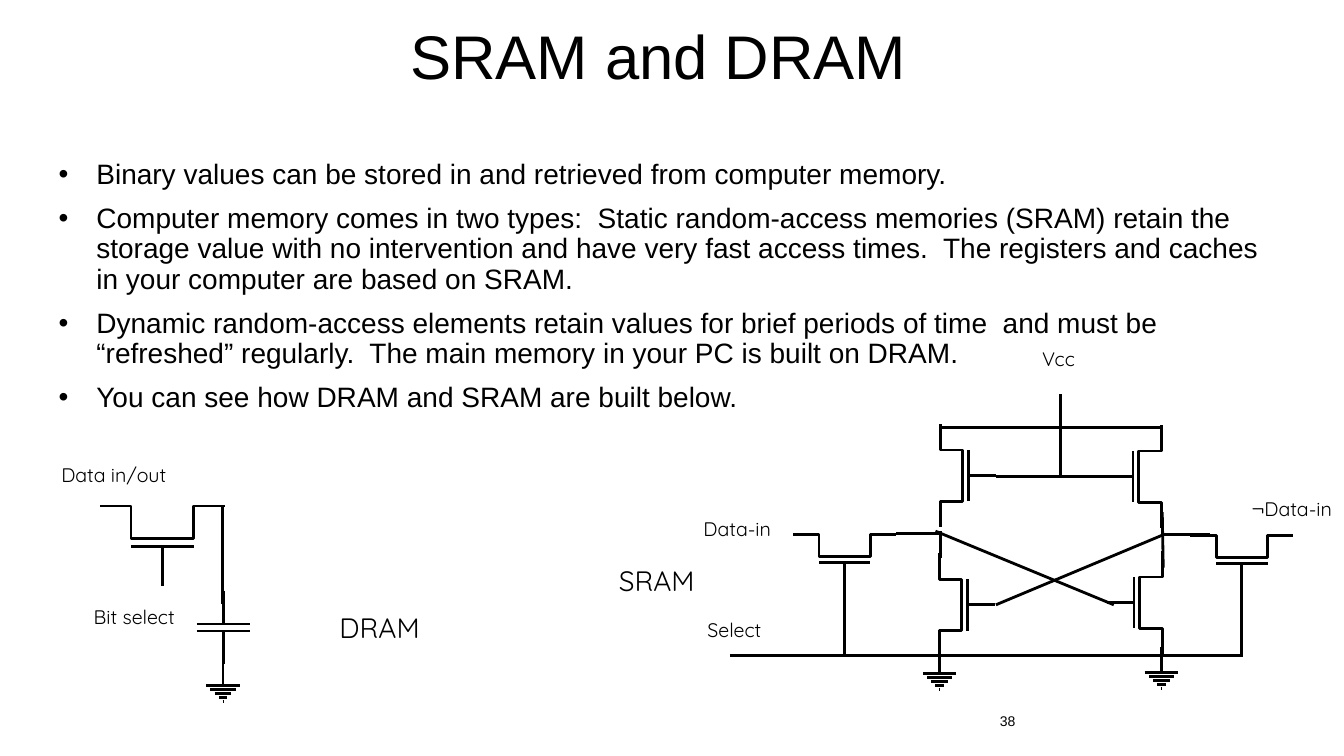
from lxml import etree
from pptx import Presentation
from pptx.dml.color import RGBColor
from pptx.enum.shapes import MSO_CONNECTOR
from pptx.enum.text import MSO_ANCHOR, MSO_AUTO_SIZE, PP_ALIGN
from pptx.oxml.ns import qn
from pptx.util import Pt

STRAIGHT = MSO_CONNECTOR.STRAIGHT
MIDDLE, TOP = MSO_ANCHOR.MIDDLE, MSO_ANCHOR.TOP
CENTER, LEFT = PP_ALIGN.CENTER, PP_ALIGN.LEFT
FIXED, GROW = MSO_AUTO_SIZE.NONE, MSO_AUTO_SIZE.SHAPE_TO_FIT_TEXT
BLACK = RGBColor(0, 0, 0)
WHITE = RGBColor(255, 255, 255)

RIGHTWARD, LEFTWARD, DOWNWARD = (1, 0), (-1, 0), (0, 1)

POINTS = [
    "Binary values can be stored in and retrieved from computer memory.",
    "Computer memory comes in two types:  Static random-access memories (SRAM) "
    "retain the storage value with no intervention and have very fast access times.  "
    "The registers and caches in your computer are based on SRAM.",
    "Dynamic random-access elements retain values for brief periods of time  and must be "
    "“refreshed” regularly.  The main memory in your PC is built on DRAM.",
    "You can see how DRAM and SRAM are built below.",
]

# text, left, top, width, height, size
LABELS = [
    ("Data in/out", 36.7, 326.9, 93.6, 24.5, 14),
    ("Bit select", 59.8, 428.4, 74.9, 24.5, 14),
    ("Data-in", 495.4, 365.8, 65.5, 24.5, 14),
    ("¬Data-in", 887, 351.4, 74.2, 24.5, 14),
    ("Select", 498.2, 437.8, 56.9, 24.5, 14),
    ("Vcc", 737.3, 244.1, 42.5, 24.5, 14),
    ("DRAM", 235.4, 432.7, 75.6, 31.7, 20),
    ("SRAM", 434.9, 398.9, 70.6, 31.7, 20),
]

# channel start x, y, direction of the channel, direction of the gate
SRAM_TRANSISTORS = [
    (566.6, 381.6, RIGHTWARD, DOWNWARD),
    (850.3, 382.3, RIGHTWARD, DOWNWARD),
    (671.8, 303.1, DOWNWARD, RIGHTWARD),
    (671, 395.3, DOWNWARD, RIGHTWARD),
    (829.4, 303.8, DOWNWARD, LEFTWARD),
    (830.2, 393.8, DOWNWARD, LEFTWARD),
]

GROUNDS = [(159.3, 471.6), (671.2, 463), (829.6, 462.2)]

WIRES = [
    (159.1, 361.4, 159.1, 431.3),   # DRAM bit line
    (757.4, 281.5, 757.4, 341.3),   # Vcc feed
    (671.8, 305.3, 830.2, 305.3),   # Vcc rail
    (711.4, 340.6, 799.9, 340.6),   # load gates
    (671.8, 379.4, 671.8, 398.9),   # left storage node
    (830.2, 365.8, 830.9, 405.4),   # right storage node
    (640.1, 380.9, 672.5, 380.9),   # left node to pass transistor
    (831.6, 381.6, 864, 381.6),     # right node to pass transistor
    (668.2, 379.4, 795.6, 432),     # cross coupling
    (830.2, 382.3, 711.4, 432),
    (603.4, 415.4, 603.4, 467.3),   # select drops
    (887, 416.2, 887, 468),
    (521.3, 468, 887.8, 468),       # select line
]


class CircuitSlide:
    def __init__(self, deck):
        self.text_font, self.label_font = "Arial", "Quicksand"
        self.ink, self.weight = BLACK, Pt(2)
        self.slide = deck.slides.add_slide(deck.slide_layouts[1])
        self.slide.background.fill.solid()
        self.slide.background.fill.fore_color.rgb = WHITE

    def add_words(self, paragraph, text, size, font):
        run = paragraph.add_run()
        run.text = text
        run.font.size, run.font.name = Pt(size), font
        run.font.color.rgb = self.ink

    def place(self, holder, left, top, width, height, anchor):
        holder.left, holder.top = Pt(left), Pt(top)
        holder.width, holder.height = Pt(width), Pt(height)
        frame = holder.text_frame
        frame.auto_size, frame.word_wrap = FIXED, True
        frame.vertical_anchor = anchor
        return frame

    def title(self, text, *box):
        heading = self.place(self.slide.shapes.title, *box, MIDDLE).paragraphs[0]
        heading.alignment, heading.line_spacing = CENTER, 0.9
        self.add_words(heading, text, 44, self.text_font)

    def bullets(self, items, *box):
        frame = self.place(self.slide.placeholders[1], *box, TOP)
        for index, item in enumerate(items):
            point = frame.add_paragraph() if index else frame.paragraphs[0]
            properties = point._p.get_or_add_pPr()
            properties.set("marL", str(Pt(27)))
            properties.set("indent", str(Pt(-27)))
            etree.SubElement(properties, qn("a:buChar")).set("char", "•")
            point.alignment, point.line_spacing = LEFT, 0.9
            point.space_before = Pt(10 if index else 0)
            self.add_words(point, item, 20, self.text_font)

    def label(self, text, left, top, width, height, size):
        box = self.slide.shapes.add_textbox(Pt(left), Pt(top), Pt(width), Pt(height))
        frame = box.text_frame
        frame.word_wrap, frame.auto_size = False, GROW
        self.add_words(frame.paragraphs[0], text, size, self.label_font)

    def page_number(self, text, *box):
        holder = self.slide.shapes.add_textbox(0, 0, 0, 0)
        number = self.place(holder, *box, MIDDLE).paragraphs[0]
        number.alignment = CENTER
        self.add_words(number, text, 10, self.text_font)

    def wire(self, x1, y1, x2, y2):
        line = self.slide.shapes.add_connector(STRAIGHT, Pt(x1), Pt(y1), Pt(x2), Pt(y2))
        line.line.color.rgb, line.line.width = self.ink, self.weight
        etree.SubElement(line._element.spPr, qn("a:effectLst"))

    def transistor(self, x, y, along, toward, length=73.5, depth=16):
        """Draw the stepped channel, then its gate plate and gate lead."""
        def at(step, offset):
            run, rise = step * length, offset * depth
            return (x + along[0] * run + toward[0] * rise,
                    y + along[1] * run + toward[1] * rise)

        corners = [(0, 0), (0.25, 0), (0.25, 1), (0.75, 1), (0.75, 0), (1, 0)]
        outline = [tuple(Pt(value) for value in at(*corner)) for corner in corners]
        builder = self.slide.shapes.build_freeform(*outline[0])
        builder.add_line_segments(outline[1:], close=False)
        channel = builder.convert_to_shape()
        channel.shadow.inherit = False
        channel.fill.background()
        channel.line.color.rgb, channel.line.width = self.ink, self.weight
        self.wire(*at(0.25, 1.26), *at(0.75, 1.26))
        self.wire(*at(0.5, 1.26), *at(0.5, 2.48))

    def ground(self, x, y, stem=18, gap=2.9):
        self.wire(x, y, x, y + stem)
        for row, half in enumerate((12, 9, 6, 3, 0.3)):
            level = y + stem + row * gap
            self.wire(x - half, level, x + half, level)

    def capacitor(self, x, y, stem=23.8, gap=5, half=19):
        lower = y + stem + gap
        self.wire(x, y, x, y + stem)
        self.wire(x, lower, x, lower + stem)
        for level in (y + stem, lower):
            self.wire(x - half, level, x + half, level)


def main():
    deck = Presentation()
    deck.slide_width, deck.slide_height = Pt(960), Pt(540)
    memory = CircuitSlide(deck)
    memory.title("SRAM and DRAM", 72, 8.6, 797, 68.4)
    memory.bullets(POINTS, 34.6, 110.9, 877, 199.4)
    memory.page_number("38", 635.8, 500.4, 167.8, 28.8)
    memory.transistor(71.3, 361.4, RIGHTWARD, DOWNWARD, length=89.3, depth=23)
    memory.capacitor(159.6, 421.9)
    for transistor in SRAM_TRANSISTORS:
        memory.transistor(*transistor)
    for ground in GROUNDS:
        memory.ground(*ground)
    for wire in WIRES:
        memory.wire(*wire)
    for label in LABELS:
        memory.label(*label)
    deck.save("out.pptx")


if __name__ == "__main__":
    main()
